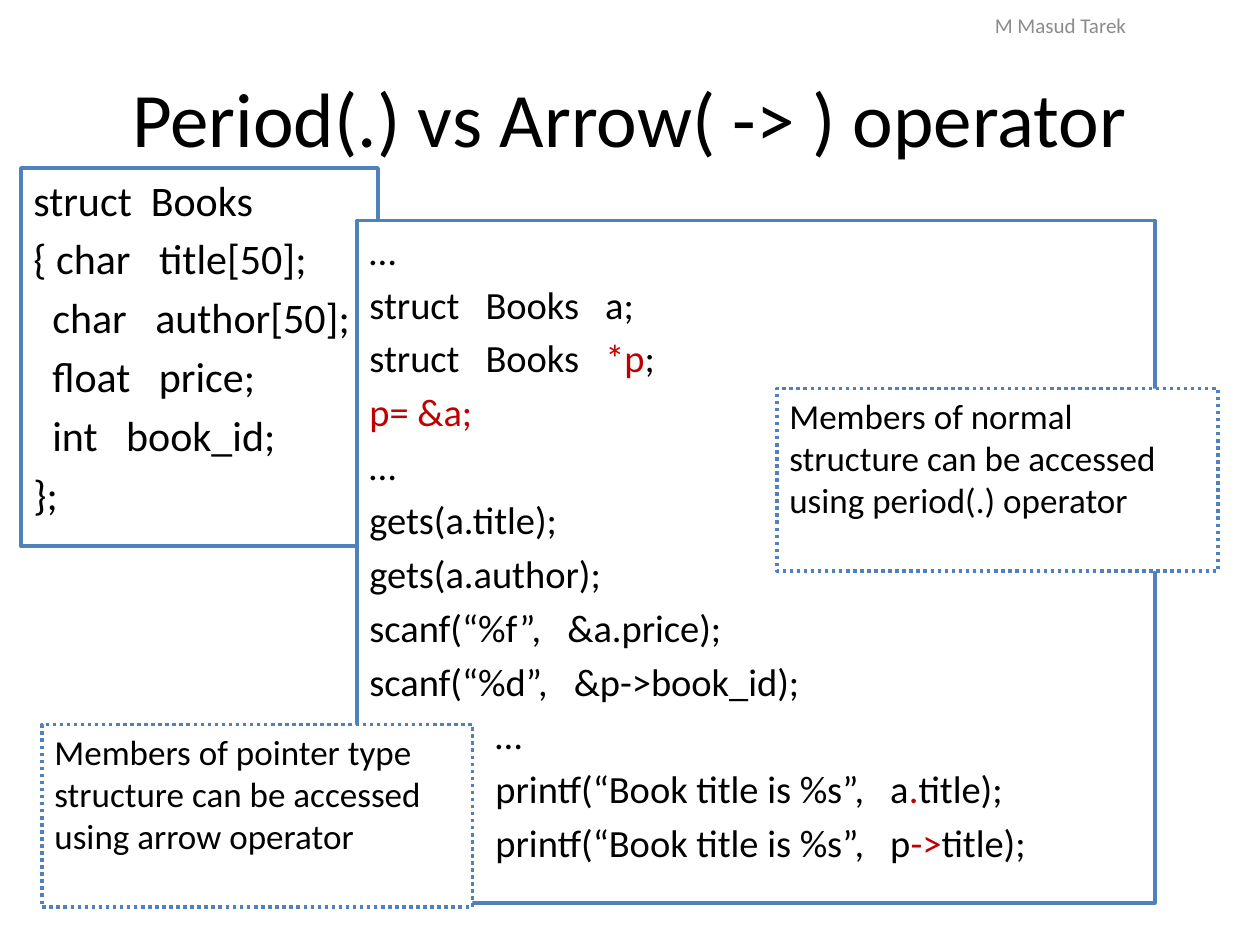
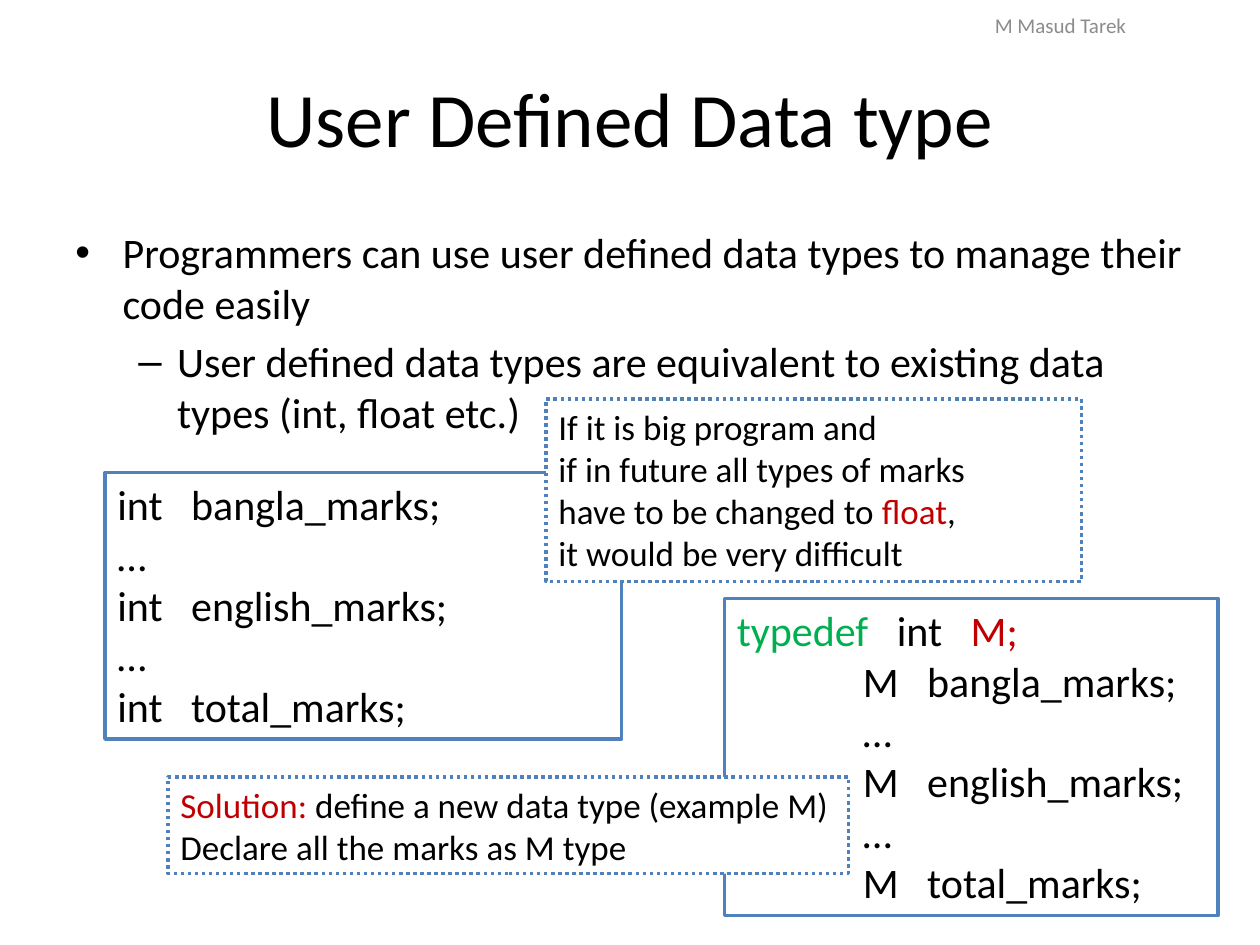
import collections

import pptx
import pptx.dml.color
import pptx.enum.dml
import pptx.enum.shapes
import pptx.enum.text
import pptx.util
from lxml import etree
from pptx.oxml.ns import qn

PX = 7620  # EMU: 120 px to the inch
FONT = "Calibri"
COLOURS = {
    "paper": "FFFFFF",
    "ink": "000000",
    "border": "4F81BD",
    "accent": "C00000",
    "keyword": "00B050",
    "author": "8C8C8C",
}
ALIGN = pptx.enum.text.PP_ALIGN
ANCHOR = pptx.enum.text.MSO_ANCHOR
TAB = 120

Line = collections.namedtuple("Line", "runs indent hang bullet")


def line(*runs, indent=0, hang=0, bullet=None):
    """One paragraph; a run is plain text or a (text, colour name) pair."""
    return Line(runs, indent, hang, bullet)


def rgb(name):
    return pptx.dml.color.RGBColor.from_string(COLOURS[name])


def write(frame, lines, size=24, colour="ink", align=ALIGN.LEFT,
          anchor=ANCHOR.TOP, spaced=False):
    """Fill a text frame; spaced puts 20% of a line above each paragraph."""
    frame.word_wrap = True
    frame.vertical_anchor = anchor
    for index, entry in enumerate(lines):
        entry = line(entry) if isinstance(entry, str) else entry
        paragraph = frame.paragraphs[0] if index == 0 else frame.add_paragraph()
        paragraph.alignment = align
        properties = paragraph._p.get_or_add_pPr()
        properties.set("marL", str(entry.indent * PX))
        properties.set("indent", str(-entry.hang * PX))
        if spaced:
            before = etree.SubElement(properties, qn("a:spcBef"))
            etree.SubElement(before, qn("a:spcPct")).set("val", "20000")
        if entry.bullet:
            etree.SubElement(properties, qn("a:buFont")).set("typeface", "Arial")
            etree.SubElement(properties, qn("a:buChar")).set("char", entry.bullet)
        for part in entry.runs:
            text, tint = (part, colour) if isinstance(part, str) else part
            run = paragraph.add_run()
            run.text = text
            run.font.name = FONT
            run.font.size = pptx.util.Pt(size)
            run.font.color.rgb = rgb(tint)


class Deck:
    def __init__(self):
        self.presentation = pptx.Presentation()
        self.presentation.slide_width = 1200 * PX
        self.presentation.slide_height = 900 * PX
        self.slide = None

    def new_slide(self, title):
        blank = self.presentation.slide_layouts[6]
        self.slide = self.presentation.slides.add_slide(blank)
        self.text((60, 36, 1080, 150), [title], size=44,
                  align=ALIGN.CENTER, anchor=ANCHOR.MIDDLE)

    def text(self, place, lines, **style):
        holder = self.slide.shapes.add_textbox(*(n * PX for n in place))
        write(holder.text_frame, lines, **style)

    def box(self, place, lines, dash=None, **style):
        panel = self.slide.shapes.add_shape(
            pptx.enum.shapes.MSO_SHAPE.RECTANGLE, *(n * PX for n in place))
        panel.shadow.inherit = False
        panel.fill.solid()
        panel.fill.fore_color.rgb = rgb("paper")
        panel.line.color.rgb = rgb("border")
        panel.line.width = pptx.util.Pt(2)
        panel.line.dash_style = dash
        write(panel.text_frame, lines, **style)

    def note(self, place, lines):
        self.box(place, lines, size=20,
                 dash=pptx.enum.dml.MSO_LINE.ROUND_DOT)

    def author(self):
        self.text((820, 0, 380, 48), ["M Masud Tarek"], size=12,
                  colour="author", align=ALIGN.CENTER, anchor=ANCHOR.MIDDLE)


def operators_slide(deck):
    deck.new_slide("Period(.) vs Arrow( -> ) operator")
    members = ["char   author[50];", "float   price;", "int   book_id;"]
    deck.box((20, 160, 340, 360), [
        "struct  Books",
        "{ char   title[50];",
        *(line(member, indent=18) for member in members),
        "};",
    ], spaced=True)
    deck.box((340, 210, 760, 650), [
        "…",
        "struct   Books   a;",
        line("struct   Books   ", ("*p", "accent"), ";"),
        line(("p= &a;", "accent")),
        "…",
        "gets(a.title);",
        "gets(a.author);",
        "scanf(“%f”,   &a.price);",
        "scanf(“%d”,   &p->book_id);",
        line("…", indent=TAB),
        *(line(f"printf(“Book title is %s”,   {variable}",
               (operator, "accent"), "title);", indent=TAB)
          for variable, operator in (("a", "."), ("p", "->"))),
    ], size=22, spaced=True)
    deck.note((40, 690, 410, 174), [
        "Members of pointer type structure can be accessed using arrow operator",
    ])
    deck.note((740, 370, 420, 174), [
        "Members of normal",
        "structure can be accessed using period(.) operator",
    ])
    deck.author()


def data_type_slide(deck):
    deck.new_slide("User Defined Data type")
    deck.text((60, 210, 1080, 240), [
        line("Programmers can use user defined data types to manage their "
             "code easily", indent=45, hang=45, bullet="•"),
        line("User defined data types are equivalent to existing data types "
             "(int, float etc.)", indent=97, hang=37, bullet="–"),
    ], spaced=True)

    def declarations(type_name):
        return [f"{type_name}   bangla_marks;", "…",
                f"{type_name}   english_marks;", "…",
                f"{type_name}   total_marks;"]

    deck.box((100, 450, 492, 254), declarations("int"))
    deck.box((690, 570, 470, 302), [
        line(("typedef   ", "keyword"), "int", ("   M;", "accent")),
        *(line(declaration, indent=TAB) for declaration in declarations("M")),
    ])
    deck.note((160, 740, 648, 92), [
        line(("Solution: ", "accent"), "define a new data type (example M)"),
        "Declare all the marks as M type",
    ])
    deck.note((520, 380, 510, 174), [
        "If it is big program and",
        "if in future all types of marks",
        line("have to be changed to ", ("float", "accent"), ","),
        "it would be very difficult",
    ])
    deck.author()


def main():
    deck = Deck()
    operators_slide(deck)
    data_type_slide(deck)
    deck.presentation.save("out.pptx")


if __name__ == "__main__":
    main()
